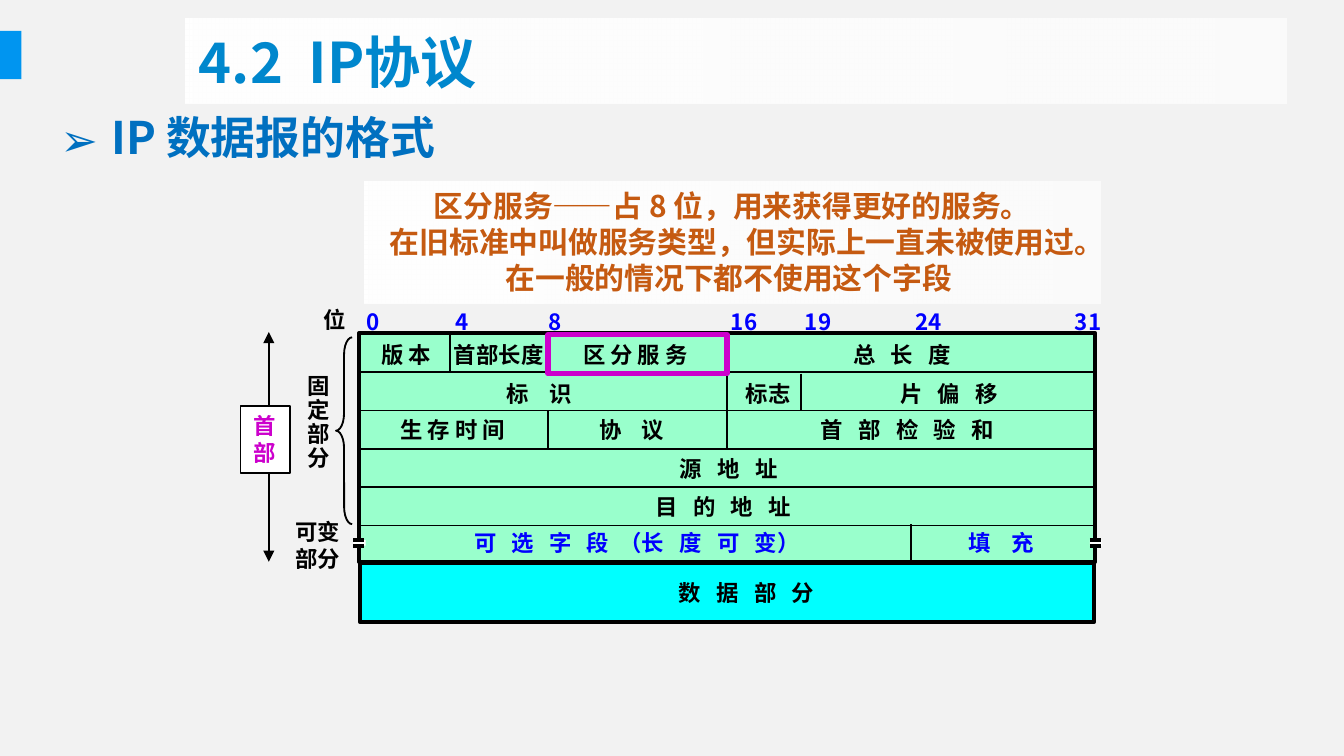
from dataclasses import dataclass

from lxml import etree
from pptx import Presentation
from pptx.dml.color import RGBColor
from pptx.enum.shapes import MSO_CONNECTOR, MSO_SHAPE
from pptx.enum.text import MSO_ANCHOR, MSO_AUTO_SIZE, PP_ALIGN
from pptx.oxml.ns import qn
from pptx.util import Inches, Pt

RECTANGLE, BRACE = MSO_SHAPE.RECTANGLE, MSO_SHAPE.LEFT_BRACE
STRAIGHT = MSO_CONNECTOR.STRAIGHT
LEFT, CENTER = PP_ALIGN.LEFT, PP_ALIGN.CENTER
MIDDLE = MSO_ANCHOR.MIDDLE
TOP = MSO_ANCHOR.TOP
GROW, FIXED = MSO_AUTO_SIZE.SHAPE_TO_FIT_TEXT, MSO_AUTO_SIZE.NONE
FONT = "Noto Sans CJK SC"
COLORS = {
    "page": "F2F2F2", "accent": "0095F0", "title": "0087CD",
    "heading": "0070C0", "note": "C55A11", "header": "99FFCC",
    "data": "00FFFF", "black": "000000", "white": "FFFFFF",
    "blue": "0000FF", "magenta": "CC00CC",
}
PAGE_WIDTH = 10
PAGE_HEIGHT = PAGE_WIDTH * 9 / 16
TABLE_LEFT, TABLE_RIGHT, TABLE_TOP = 2.67, 8.16, 2.48
FIRST_RULE, ROW_STEP = 2.77, 0.285
LABEL_TOPS = (2.49, 2.78, 3.05, 3.34, 3.62, 3.89)
LABEL_HEIGHT = 0.3


@dataclass
class Field:
    text: str
    row: int
    left: float
    width: float
    color: str = "black"


@dataclass
class BitNumber:
    text: str
    left: float
    width: float


@dataclass
class Rule:
    x1: float
    y1: float
    x2: float
    y2: float
    weight: float = 1
    arrows: bool = False


FIELDS = [
    Field("版 本", 0, 2.74, 0.59),
    Field("首部长度", 0, 3.28, 0.87),
    Field("区 分 服 务", 0, 4.24, 1.03),
    Field("总   长   度", 0, 6.25, 1.01),
    Field("标    识", 1, 3.67, 0.74),
    Field("标志", 1, 5.45, 0.54),
    Field("片   偏   移", 1, 6.6, 1.01),
    Field("生 存 时 间", 2, 2.88, 1.03),
    Field("协    议", 2, 4.36, 0.74),
    Field("首   部   检   验   和", 2, 6.01, 1.65),
    Field("源   地   址", 3, 4.96, 1.01),
    Field("目   的   地   址", 4, 4.78, 1.33),
    Field("可   选   字   段  （长   度   可   变）", 5, 3.43, 2.9, "blue"),
    Field("填    充", 5, 7.11, 0.74, "blue"),
]
BIT_NUMBERS = [
    BitNumber("0", 2.63, 0.3), BitNumber("4", 3.29, 0.3),
    BitNumber("8", 3.98, 0.3), BitNumber("16", 5.34, 0.41),
    BitNumber("19", 5.89, 0.41), BitNumber("24", 6.71, 0.41),
    BitNumber("31", 7.9, 0.41),
]
COLUMN_RULES = [
    Rule(3.35, 2.48, 3.35, 2.77), Rule(4.08, 2.48, 4.08, 2.77),
    Rule(4.08, 3.06, 4.08, 3.34), Rule(5.41, 2.48, 5.41, 3.34),
    Rule(6.78, 4.19, 6.78, 3.9), Rule(5.96, 2.78, 5.96, 3.05),
]


def rgb(color: str) -> RGBColor:
    return RGBColor.from_string(COLORS[color])


def write(shape, lines: list[str], size: float, color: str, align=LEFT,
          wrap: bool = False, spacing: float = 1.0, anchor=TOP, bullet: str = "") -> None:
    frame = shape.text_frame
    frame.word_wrap = wrap
    frame.vertical_anchor = anchor
    for index, line in enumerate(lines):
        para = frame.add_paragraph() if index else frame.paragraphs[0]
        para.alignment = align
        para.line_spacing = spacing
        if bullet:
            properties = para._p.get_or_add_pPr()
            properties.set("marL", str(Inches(0.38)))
            properties.set("indent", str(Inches(-0.38)))
            etree.SubElement(properties, qn("a:buFont"), typeface=FONT)
            etree.SubElement(properties, qn("a:buChar"), char=bullet)
        span = para.add_run()
        span.text = line
        span.font.size = Pt(size)
        span.font.bold = True
        span.font.color.rgb = rgb(color)
        span.font.name = FONT
        etree.SubElement(span._r.get_or_add_rPr(), qn("a:ea"), typeface=FONT)


def add_label(page, left: float, top: float, width: float, height: float,
              lines: list[str], color: str = "black", size: float = 12, **style) -> None:
    box = page.shapes.add_textbox(Inches(left), Inches(top), Inches(width), Inches(height))
    write(box, lines, size, color, **style)
    box.text_frame.auto_size = GROW


def add_block(page, left: float, top: float, width: float, height: float,
              fill: str = "", line: str = "", weight: float = 1, kind=RECTANGLE):
    block = page.shapes.add_shape(kind, Inches(left), Inches(top), Inches(width), Inches(height))
    block.shadow.inherit = False
    if fill:
        block.fill.solid()
        block.fill.fore_color.rgb = rgb(fill)
    else:
        block.fill.background()
    if line:
        block.line.color.rgb = rgb(line)
        block.line.width = Pt(weight)
    else:
        block.line.fill.background()
    return block


def add_rule(page, rule: Rule) -> None:
    line = page.shapes.add_connector(STRAIGHT, Inches(rule.x1), Inches(rule.y1),
                                     Inches(rule.x2), Inches(rule.y2))
    line.line.color.rgb = rgb("black")
    line.line.width = Pt(rule.weight)
    if rule.arrows:
        for end in ("a:headEnd", "a:tailEnd"):
            etree.SubElement(line.line._get_or_add_ln(), qn(end), type="triangle")
    etree.SubElement(line._element.spPr, qn("a:effectLst"))


def fade_white(shape) -> None:
    shape.fill.gradient()
    shape.fill.gradient_angle = 0
    for stop in shape.fill.gradient_stops:
        stop.color.rgb = rgb("white")
    last_color = shape._element.spPr.findall(".//" + qn("a:srgbClr"))[-1]
    etree.SubElement(last_color, qn("a:alpha"), val="67000")


def add_title(page) -> None:
    title = page.shapes.title
    title.left, title.top = Inches(1.38), Inches(0.14)
    title.width, title.height = Inches(8.19), Inches(0.63)
    fade_white(title)
    write(title, ["4.2  IP协议"], 30, "title", wrap=True, anchor=MIDDLE)
    title.text_frame.auto_size = FIXED


def add_datagram(page) -> None:
    add_block(page, TABLE_LEFT, TABLE_TOP, 5.48, 1.7, "header", "black", 2)
    add_block(page, 2.68, 4.19, 5.46, 0.44, "data", "black", 2.25)
    for row in range(5):
        y = FIRST_RULE + row * ROW_STEP
        add_rule(page, Rule(TABLE_LEFT, y, TABLE_RIGHT, y))
    for rule in COLUMN_RULES:
        add_rule(page, rule)
    for bit in BIT_NUMBERS:
        add_label(page, bit.left, 2.24, bit.width, LABEL_HEIGHT, [bit.text], "blue")
    for field in FIELDS:
        add_label(page, field.left, LABEL_TOPS[field.row],
                  field.width, LABEL_HEIGHT, [field.text], field.color)
    add_label(page, 4.54, 4.26, 2.03, LABEL_HEIGHT, ["数   据   部   分"],
              align=CENTER, wrap=True)
    for left in (2.63, 8.11):
        add_block(page, left, 4.02, 0.09, 0.04, "white")
        for y in (4.02, 4.06):
            add_rule(page, Rule(left, y, left + 0.08, y, 2))


def add_side_notes(page) -> None:
    add_label(page, 2.31, 2.23, 0.37, LABEL_HEIGHT, ["位"])
    add_label(page, 2.19, 2.74, 0.37, 0.83, list("固定部分"), spacing=0.9)
    add_label(page, 2.1, 3.81, 0.54, 0.5, ["可变", "部分"])
    brace = add_block(page, 2.5, 2.51, 0.12, 1.39, line="black", kind=BRACE)
    brace.adjustments[0] = 1.08
    add_rule(page, Rule(2, 2.47, 2, 4.18, arrows=True))
    header = add_block(page, 1.79, 3.02, 0.37, 0.5, "white", "black")
    write(header, list("首部"), 12, "magenta")
    header.text_frame.auto_size = GROW


def main() -> None:
    deck = Presentation()
    deck.slide_width, deck.slide_height = Inches(PAGE_WIDTH), Inches(PAGE_HEIGHT)
    page = deck.slides.add_slide(deck.slide_layouts[5])
    page.background.fill.solid()
    page.background.fill.fore_color.rgb = rgb("page")
    add_block(page, -0.01, 0.23, 0.17, 0.36, "accent")
    add_title(page)
    add_datagram(page)
    add_side_notes(page)
    note = add_block(page, 2.71, 1.35, 5.48, 0.91)
    fade_white(note)
    write(note, ["区分服务——占 8 位，用来获得更好的服务。",
                 "在旧标准中叫做服务类型，但实际上一直未被使用过。",
                 "在一般的情况下都不使用这个字段 "], 16, "note", align=CENTER, wrap=True)
    note.text_frame.auto_size = GROW
    add_block(page, 4.08, 2.49, 1.33, 0.29, line="magenta", weight=3)
    add_label(page, 0.35, 0.77, 9.21, 0.5, ["IP 数据报的格式"], "heading", 24,
              wrap=True, bullet="➢")
    deck.save("out.pptx")


if __name__ == "__main__":
    main()
